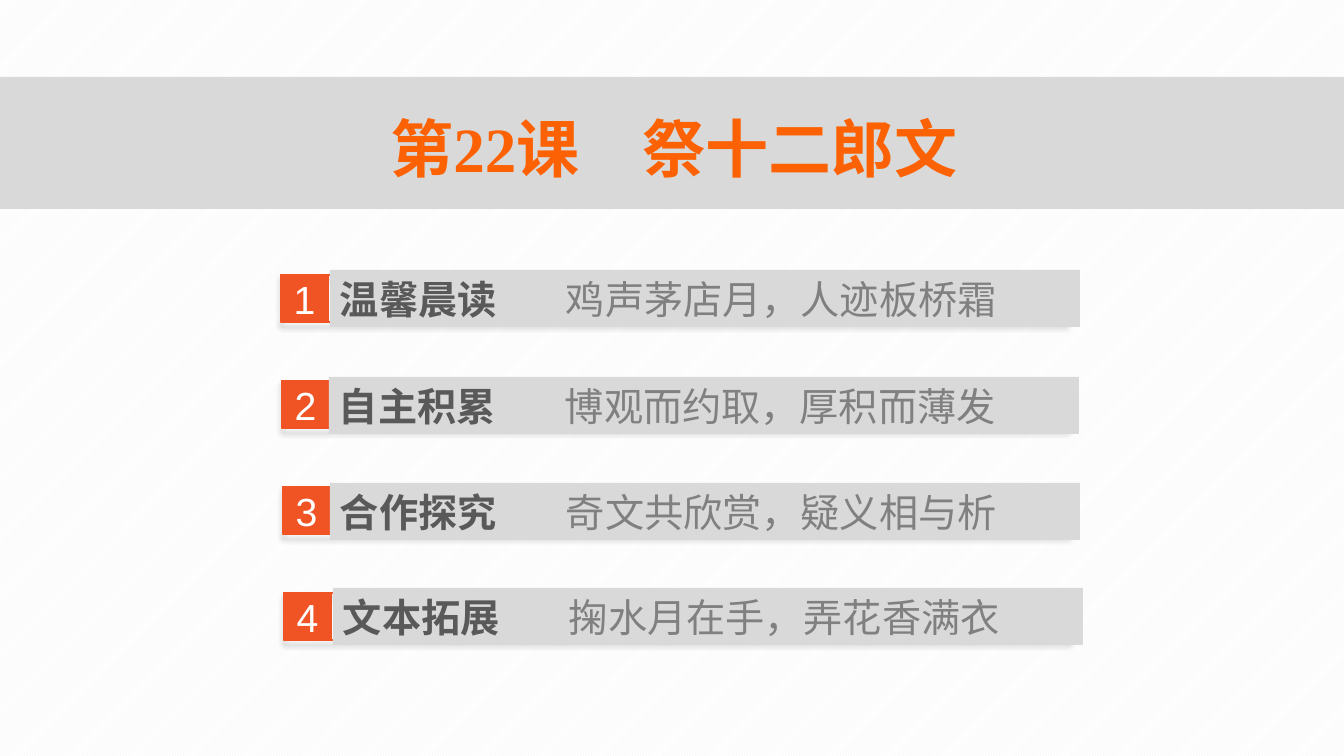
from dataclasses import dataclass

from lxml.etree import SubElement
from pptx import Presentation
from pptx.dml.color import RGBColor
from pptx.enum.dml import MSO_PATTERN as Pattern
from pptx.enum.shapes import MSO_SHAPE as Shape
from pptx.enum.text import MSO_ANCHOR as Anchor, PP_ALIGN as Align
from pptx.oxml.ns import qn
from pptx.util import Pt

PX = 12192000 / 1344
HAN = "Noto Sans CJK SC"
STEP = 106
TAB = 226
COLORS = {
    "stripe": "F2F2F2",
    "white": "FFFFFF",
    "band": "D9D9D9",
    "badge": "F05425",
    "head": "595959",
    "verse": "808080",
    "title": "FC6204",
    "shade": "000000",
}


@dataclass
class Box:
    x: int
    y: int
    w: int
    h: int


@dataclass
class Row:
    head: str
    verse: str
    bar_x: int
    bar_y: int


ROWS = [
    Row("温馨晨读", "鸡声茅店月，人迹板桥霜", 330, 270),
    Row("自主积累", "博观而约取，厚积而薄发", 329, 377),
    Row("合作探究", "奇文共欣赏，疑义相与析", 330, 483),
    Row("文本拓展", "掬水月在手，弄花香满衣", 333, 588),
]


def emu(px: int) -> int:
    return round(px * PX)


def rgb(name: str) -> RGBColor:
    return RGBColor.from_string(COLORS[name])


def place(box: Box) -> list[int]:
    return [emu(n) for n in (box.x, box.y, box.w, box.h)]


def add_rect(shapes, box: Box, fill: str = "", line: str = ""):
    rect = shapes.add_shape(Shape.RECTANGLE, *place(box))
    rect.shadow.inherit = False
    if fill:
        rect.fill.solid()
        rect.fill.fore_color.rgb = rgb(fill)
    else:
        rect.fill.background()
    if line:
        rect.line.color.rgb = rgb(line)
        rect.line.width = Pt(1)
    else:
        rect.line.fill.background()
    return rect


def add_shade(shape) -> None:
    """Give the shape a soft shadow straight below it."""
    effects = shape._element.spPr.find(qn("a:effectLst"))
    outer = SubElement(effects, qn("a:outerShdw"), blurRad=str(Pt(4)),
                       dist=str(Pt(3)), dir="5400000", rotWithShape="0")
    color = SubElement(outer, qn("a:srgbClr"), val=COLORS["shade"])
    SubElement(color, qn("a:alpha"), val="40000")


def set_frame(shape, align: Align):
    """Centre the text vertically and return its first paragraph."""
    frame = shape.text_frame
    frame.word_wrap = True
    frame.vertical_anchor = Anchor.MIDDLE
    frame.margin_top = frame.margin_bottom = 0
    para = frame.paragraphs[0]
    para.alignment = align
    return para


def add_run(para, text: str, size: int, font: str, color: str,
            bold: bool = False) -> None:
    run = para.add_run()
    run.text = text
    run.font.size = Pt(size)
    run.font.name = font
    run.font.bold = bold
    run.font.color.rgb = rgb(color)
    SubElement(run._r.get_or_add_rPr(), qn("a:ea"), typeface=HAN)


def add_row(slide, index: int, row: Row) -> None:
    shapes = slide.shapes.add_group_shape().shapes
    x, y = 281 + index, 275 + index * STEP
    add_shade(add_rect(shapes, Box(x, y, 785, 47), line="badge"))

    badge = add_rect(shapes, Box(x, y, 47, 47), "badge", "badge")
    para = set_frame(badge, Align.CENTER)
    add_run(para, str(index + 1), 28, "Arial", "white")

    bar = add_rect(shapes, Box(row.bar_x, row.bar_y, 750, 57), "band")
    para = set_frame(bar, Align.LEFT)
    tabs = SubElement(para._p.get_or_add_pPr(), qn("a:tabLst"))
    SubElement(tabs, qn("a:tab"), pos=str(emu(TAB)), algn="l")
    add_run(para, row.head + "\t", 28, HAN, "head", True)
    add_run(para, row.verse, 28, HAN, "verse")


def add_title(slide) -> None:
    add_rect(slide.shapes, Box(0, 77, 1344, 132), "band")
    title = slide.shapes.add_textbox(*place(Box(116, 106, 1116, 83)))
    para = set_frame(title, Align.CENTER)
    add_run(para, "第22课\u3000祭十二郎文".replace("\u3000", "　"), 45,
            "Times New Roman", "title", True)


def main() -> None:
    deck = Presentation()
    deck.slide_width, deck.slide_height = emu(1344), emu(756)
    slide = deck.slides.add_slide(deck.slide_layouts[6])
    back = slide.background.fill
    back.patterned()
    back.pattern = Pattern.LIGHT_UPWARD_DIAGONAL
    back.fore_color.rgb = rgb("stripe")
    back.back_color.rgb = rgb("white")
    add_title(slide)
    for index, row in enumerate(ROWS):
        add_row(slide, index, row)
    deck.save("out.pptx")


if __name__ == "__main__":
    main()
